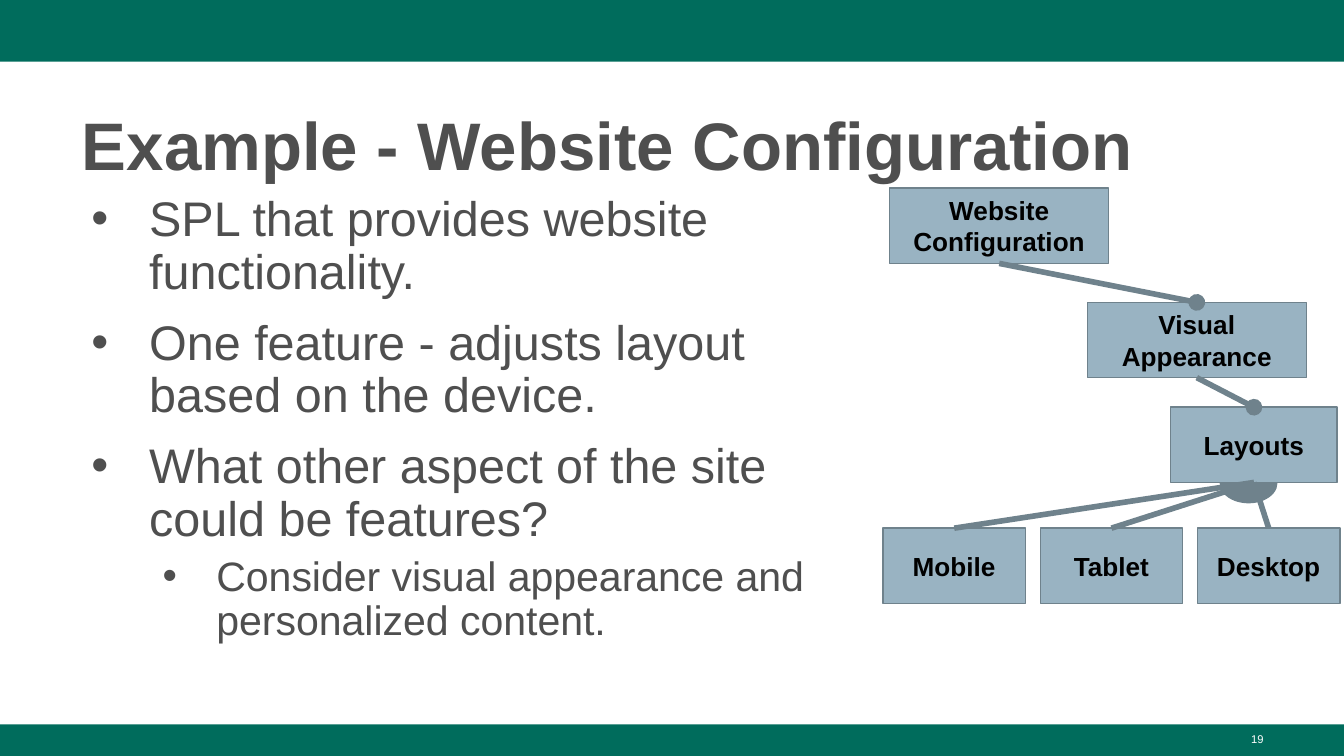
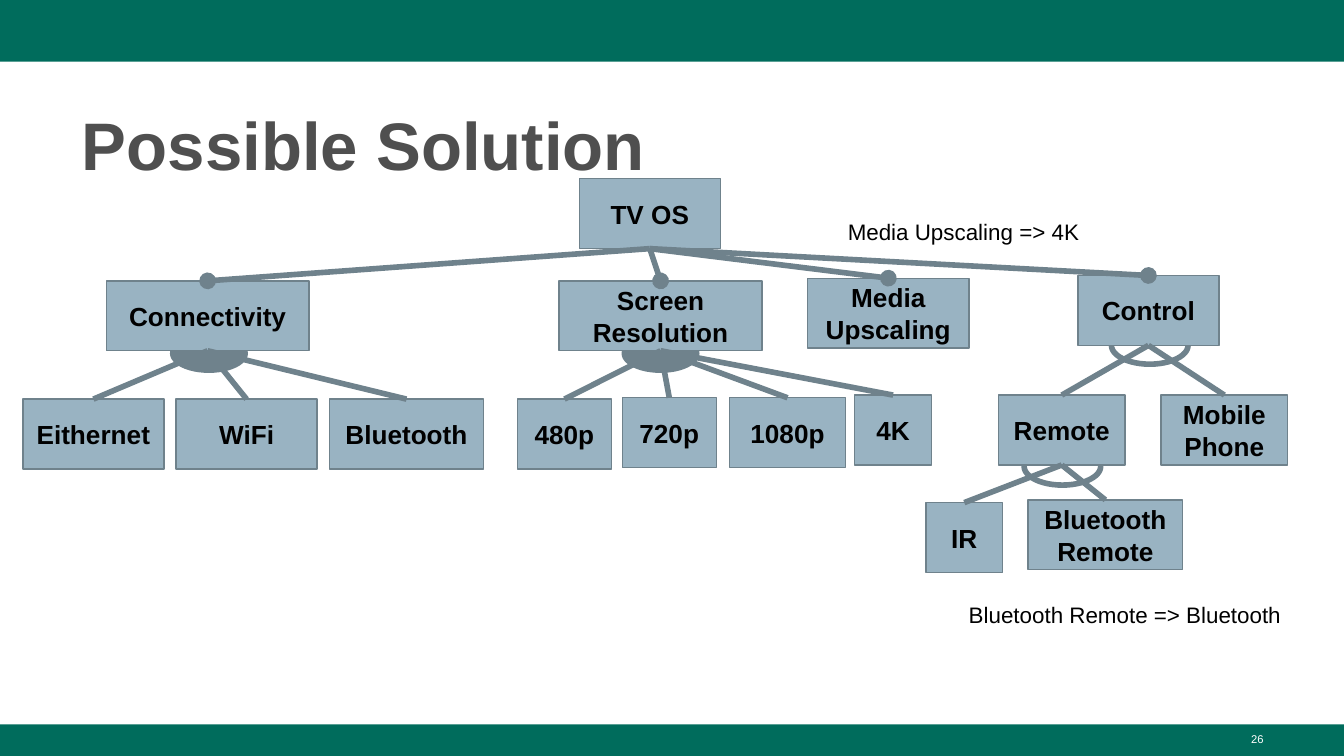
from dataclasses import dataclass

from lxml import etree
from pptx import Presentation
from pptx import util as u
from pptx.dml.color import RGBColor
from pptx.enum import shapes, text
from pptx.oxml import ns


@dataclass(frozen=True)
class Theme:
    font: str = "Arial"
    band: str = "006C5C"
    heading: str = "4F4F4F"
    node: str = "99B3C2"
    edge: str = "6F828C"
    ink: str = "000000"
    paper: str = "FFFFFF"
    title_size: float = 36
    list_sizes: tuple = (26, 22)
    node_size: float = 14
    note_size: float = 12
    number_size: float = 6
    outline: float = 0.75
    stroke: float = 3


THEME = Theme()
PAGE_WIDTH = 10
PAGE_HEIGHT = PAGE_WIDTH * 9 / 16


# --- Helpers ---

def rgb(value):
    return RGBColor.from_string(value)


def inches(*values):
    return [u.Inches(value) for value in values]


def add_span(para, words, size, color, bold=False):
    span = para.add_run()
    span.text = words
    span.font.name = THEME.font
    span.font.size = u.Pt(size)
    span.font.bold = bold
    span.font.color.rgb = rgb(color)


def set_insets(frame, side, top):
    frame.margin_left = frame.margin_right = u.Inches(side)
    frame.margin_top = frame.margin_bottom = u.Inches(top)


def add_sub(parent, tag, **attributes):
    return etree.SubElement(parent, ns.qn(tag), attributes)


def add_figure(page, kind, place, fill=None, line=None, width=THEME.outline):
    figure = page.shapes.add_shape(kind, *inches(*place))
    figure.shadow.inherit = False
    if fill:
        figure.fill.solid()
        figure.fill.fore_color.rgb = rgb(fill)
    else:
        figure.fill.background()
    if line:
        figure.line.color.rgb = rgb(line)
        figure.line.width = u.Pt(width)
    else:
        figure.line.fill.background()
    return figure


# --- Page furniture ---

def add_bands(deck, page):
    """Draw the two bands and hand them over to the slide master."""
    tree = deck.slide_master.shapes.element
    for position, (top, bottom) in enumerate([(0, 0.46), (5.39, PAGE_HEIGHT)]):
        band = add_figure(page, shapes.MSO_SHAPE.RECTANGLE,
                          (0, top, PAGE_WIDTH, bottom - top), THEME.band)
        tree.insert(2 + position, band.element)


def add_text_box(page, place, words, size, color, top_inset):
    box = page.shapes.add_textbox(*inches(*place))
    frame = box.text_frame
    frame.word_wrap = True
    set_insets(frame, 0.1, top_inset)
    add_span(frame.paragraphs[0], words, size, color)
    return box


def add_page_number(page, number):
    box = add_text_box(page, (7.17, 5.4, 2.33, 0.23), number,
                       THEME.number_size, THEME.paper, 0.05)
    box.text_frame.paragraphs[0].alignment = text.PP_ALIGN.RIGHT


def place_holder(holder, place):
    holder.left, holder.top, holder.width, holder.height = inches(*place)
    frame = holder.text_frame
    frame.auto_size = text.MSO_AUTO_SIZE.NONE
    frame.vertical_anchor = text.MSO_ANCHOR.TOP
    set_insets(frame, 0.1, 0.05)
    return frame


def set_title(page, words):
    frame = place_holder(page.shapes.title, (0.51, 0.67, 8.99, 0.73))
    para = frame.paragraphs[0]
    para.alignment = text.PP_ALIGN.LEFT
    para.line_spacing = 1.08
    add_span(para, words, THEME.title_size, THEME.heading, bold=True)


def add_page(deck, layout, title, number):
    page = deck.slides.add_slide(deck.slide_layouts[layout])
    set_title(page, title)
    add_page_number(page, number)
    return page


def fill_list(holder, place, items):
    frame = place_holder(holder, place)
    indents = [(0.5, -0.43), (1, -0.4)]
    for index, (level, words) in enumerate(items):
        para = frame.add_paragraph() if index else frame.paragraphs[0]
        para.level = level
        left, hang = inches(*indents[level])
        props = para._p.get_or_add_pPr()
        props.set("marL", str(left))
        props.set("indent", str(hang))
        add_sub(add_sub(props, "a:buClr"), "a:srgbClr", val=THEME.heading)
        add_sub(props, "a:buFont", typeface=THEME.font)
        add_sub(props, "a:buChar", char="•")
        para.line_spacing = 0.9
        para.space_before = u.Pt((10, 5)[level] if index else 0)
        add_span(para, words, THEME.list_sizes[level], THEME.heading)


# --- Feature diagram ---

def add_node(page, name, place):
    node = add_figure(page, shapes.MSO_SHAPE.RECTANGLE, place, THEME.node, THEME.edge)
    frame = node.text_frame
    frame.word_wrap = True
    frame.vertical_anchor = text.MSO_ANCHOR.MIDDLE
    set_insets(frame, 0.1, 0.1)
    para = frame.paragraphs[0]
    para.alignment = text.PP_ALIGN.CENTER
    add_span(para, name, THEME.node_size, THEME.ink, bold=True)
    return node


def add_link(page, parent, child, mandatory):
    link = page.shapes.add_connector(shapes.MSO_CONNECTOR.STRAIGHT, 0, 0, 0, 0)
    link.begin_connect(parent, 2)
    link.end_connect(child, 0)
    link.line.color.rgb = rgb(THEME.edge)
    link.line.width = u.Pt(THEME.stroke)
    props = link.element.spPr
    if mandatory:
        add_sub(props.find(ns.qn("a:ln")), "a:tailEnd", type="oval")
    add_sub(props, "a:effectLst")


def add_group_arc(page, place, filled):
    """Filled for an 'or' group, open for an 'alternative' group."""
    if filled:
        add_figure(page, shapes.MSO_SHAPE.OVAL, place, THEME.edge, THEME.edge)
    else:
        add_figure(page, shapes.MSO_SHAPE.OVAL, place, None, THEME.edge, THEME.stroke)


def add_diagram(page, height, places, mandatory, grouped):
    """Places give left, top, width; links map a parent to its children."""
    nodes = {name: add_node(page, name, (*place, height))
             for name, place in places.items()}
    for links, has_dot in ((mandatory, True), (grouped, False)):
        for parent, children in links.items():
            for child in children:
                add_link(page, nodes[parent], nodes[child], has_dot)


def add_constraint(page, place, words):
    box = add_text_box(page, place, words, THEME.note_size, THEME.ink, 0.1)
    box.text_frame.auto_size = text.MSO_AUTO_SIZE.SHAPE_TO_FIT_TEXT


# --- Slides ---

def build_website_page(deck):
    page = add_page(deck, 1, "Example - Website Configuration", "19")
    add_bands(deck, page)
    fill_list(page.placeholders[1], (0.51, 1.4, 5.83, 3.81), [
        (0, "SPL that provides website functionality."),
        (0, "One feature - adjusts layout based on the device."),
        (0, "What other aspect of the site could be features?"),
        (1, "Consider visual appearance and personalized content."),
    ])
    add_group_arc(page, (9.08, 3.45, 0.42, 0.29), filled=True)
    devices = ["Mobile", "Tablet", "Desktop"]
    places = {
        "Website Configuration": (6.62, 1.4, 1.63),
        "Visual Appearance": (8.09, 2.25, 1.63),
        "Layouts": (8.71, 3.03, 1.24),
    }
    for column, device in enumerate(devices):
        places[device] = (6.57 + 1.17 * column, 3.93, 1.06)
    add_diagram(
        page, 0.56, places,
        mandatory={"Website Configuration": ["Visual Appearance"],
                   "Visual Appearance": ["Layouts"]},
        grouped={"Layouts": devices},
    )


def build_solution_page(deck):
    page = add_page(deck, 5, "Possible Solution", "26")
    for left, top, filled in [(7.62, 3.33, False), (8.27, 2.43, False),
                              (4.63, 2.49, True), (1.27, 2.49, True)]:
        add_group_arc(page, (left, top, 0.57, 0.28), filled)
    add_diagram(
        page, 0.52,
        {
            "TV OS": (4.31, 1.33, 1.05),
            "Connectivity": (0.79, 2.09, 1.51),
            "Screen Resolution": (4.16, 2.09, 1.51),
            "Media Upscaling": (6.01, 2.07, 1.2),
            "Control": (8.02, 2.05, 1.05),
            "Eithernet": (0.17, 2.97, 1.05),
            "WiFi": (1.31, 2.97, 1.05),
            "Bluetooth": (2.45, 2.97, 1.15),
            "480p": (3.85, 2.97, 0.7),
            "720p": (4.63, 2.96, 0.7),
            "1080p": (5.43, 2.96, 0.86),
            "4K": (6.36, 2.94, 0.57),
            "Remote": (7.43, 2.94, 0.94),
            "Mobile Phone": (8.64, 2.94, 0.94),
            "IR": (6.89, 3.74, 0.57),
            "Bluetooth Remote": (7.65, 3.72, 1.15),
        },
        mandatory={"TV OS": ["Connectivity", "Screen Resolution",
                             "Media Upscaling", "Control"]},
        grouped={
            "Connectivity": ["Eithernet", "WiFi", "Bluetooth"],
            "Screen Resolution": ["480p", "720p", "1080p", "4K"],
            "Control": ["Remote", "Mobile Phone"],
            "Remote": ["IR", "Bluetooth Remote"],
        },
    )
    add_constraint(page, (6.21, 1.52, 1.93, 0.4), "Media Upscaling => 4K")
    add_constraint(page, (7.11, 4.37, 2.56, 0.4), "Bluetooth Remote => Bluetooth")


def main():
    deck = Presentation()
    deck.slide_width, deck.slide_height = inches(PAGE_WIDTH, PAGE_HEIGHT)
    build_website_page(deck)
    build_solution_page(deck)
    deck.save("out.pptx")


if __name__ == "__main__":
    main()
